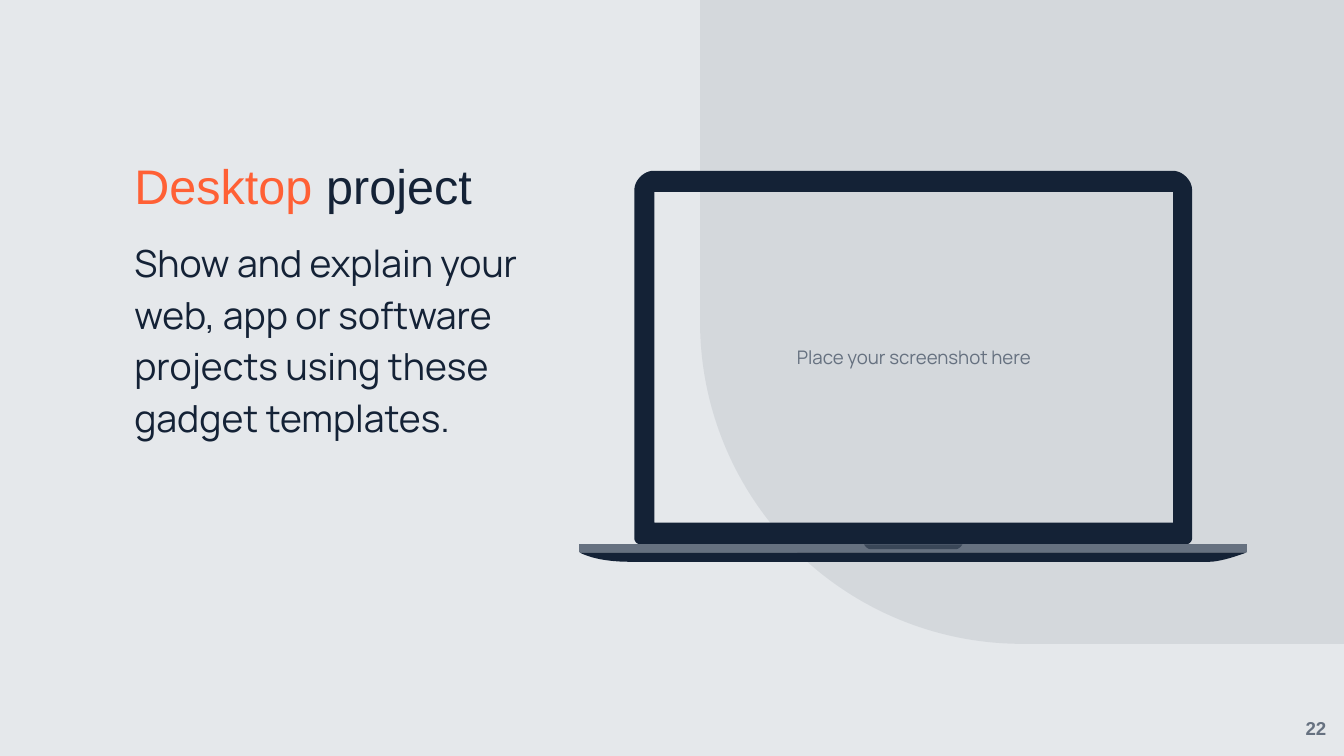
from lxml import etree
from pptx import Presentation
from pptx.dml.color import RGBColor
from pptx.enum import shapes, text
from pptx.oxml import ns
from pptx.util import Cm, Pt

PALE = RGBColor(0xE5, 0xE8, 0xEB)
NAVY = RGBColor(0x14, 0x22, 0x36)
GREY = RGBColor(0x66, 0x71, 0x80)
ORANGE = RGBColor(0xFF, 0x60, 0x35)
CURVE_STEPS = 12


def paint(shape, color, opacity=100):
    """Flat fill without outline or shadow; opacity in percent."""
    shape.shadow.inherit = False
    shape.line.fill.background()
    shape.fill.solid()
    shape.fill.fore_color.rgb = color
    if opacity < 100:
        srgb = shape.fill._xPr.find(".//" + ns.qn("a:srgbClr"))
        etree.SubElement(srgb, ns.qn("a:alpha"), val=str(opacity * 1000))


def add_corner_block(slide, left, top, size, color, opacity=100, rotation=0):
    """Square with one corner rounded by half its side."""
    block = slide.shapes.add_shape(
        shapes.MSO_SHAPE.ROUND_1_RECTANGLE, Cm(left), Cm(top), Cm(size), Cm(size))
    block.adjustments[0] = 0.5
    block.rotation = rotation
    paint(block, color, opacity)
    return block


def write(frame, runs, *, size, font, align=text.PP_ALIGN.LEFT,
          anchor=text.MSO_ANCHOR.TOP, bold=False, spacing=1.0, before=0):
    """Write one paragraph of (words, color) runs."""
    frame.word_wrap = True
    frame.auto_size = text.MSO_AUTO_SIZE.NONE
    frame.vertical_anchor = anchor
    frame.margin_left = frame.margin_right = frame.margin_top = frame.margin_bottom = 0
    paragraph = frame.paragraphs[0]
    paragraph.alignment = align
    paragraph.line_spacing = spacing
    paragraph.space_before = Pt(before)
    for words, color in runs:
        run = paragraph.add_run()
        run.text = words
        run.font.size, run.font.name, run.font.bold = Pt(size), font, bold
        run.font.color.rgb = color


def add_text(slide, left, top, width, height, runs, **style):
    box = slide.shapes.add_textbox(Cm(left), Cm(top), Cm(width), Cm(height))
    write(box.text_frame, runs, **style)


def flatten(steps):
    """Turn steps of one point (line) or three points (cubic curve) into points."""
    points = []
    for step in steps:
        if len(step) == 1:
            points.append(step[0])
            continue
        controls = [points[-1], *step]
        for i in range(1, CURVE_STEPS + 1):
            t = i / CURVE_STEPS
            weights = ((1 - t) ** 3, 3 * t * (1 - t) ** 2, 3 * t * t * (1 - t), t ** 3)
            points.append(tuple(sum(w * p[axis] for w, p in zip(weights, controls))
                                for axis in (0, 1)))
    return [(Cm(x), Cm(y)) for x, y in points]


def add_outline(slide, contours, color, opacity=100):
    builder = None
    for contour in contours:
        start, *rest = flatten(contour)
        if builder is None:
            builder = slide.shapes.build_freeform(*start)
        else:
            builder.move_to(*start)
        builder.add_line_segments(rest, close=True)
    paint(builder.convert_to_shape(), color, opacity)


def add_laptop(slide):
    left, right, top, hinge = 11.99, 22.53, 3.23, 10.29
    big, small = 0.36, 0.11  # upper and lower corner radii
    screen_left, screen_right, screen_top, screen_bottom = 12.37, 22.17, 3.63, 9.88

    # Lid with the screen cut out
    lid = [
        [(right - big, top)],
        [(left + big, top)],
        [(left + big / 2, top), (left, top + big / 2), (left, top + big)],
        [(left, hinge - small)],
        [(left, hinge - small / 2), (left + small / 2, hinge), (left + small, hinge)],
        [(right - small, hinge)],
        [(right - small / 2, hinge), (right, hinge - small / 2), (right, hinge - small)],
        [(right, top + big)],
        [(right, top + big / 2), (right - big / 2, top), (right - big, top)],
    ]
    screen = [[(screen_right, screen_bottom)], [(screen_left, screen_bottom)],
              [(screen_left, screen_top)], [(screen_right, screen_top)]]
    add_outline(slide, [lid, screen], NAVY)

    # Underside, deck and opening notch
    base_left, base_right, deck_bottom, foot = 10.95, 23.57, 10.44, 10.62
    add_outline(slide, [[
        [(base_left, deck_bottom)],
        [(base_left, deck_bottom), (11.23, foot), (11.89, foot)],
        [(22.86, foot)],
        [(23.11, foot), (base_right, deck_bottom), (base_right, deck_bottom)],
    ]], NAVY)
    add_outline(slide, [[[(base_left, deck_bottom)], [(base_right, deck_bottom)],
                         [(base_right, hinge)], [(base_left, hinge)]]], GREY)
    notch_left, notch_right, notch_bottom = 16.33, 18.19, 10.38
    add_outline(slide, [[
        [(notch_left, hinge)],
        [(notch_left, hinge), (notch_left + 0.05, notch_bottom),
         (notch_left + 0.12, notch_bottom)],
        [(notch_right - 0.12, notch_bottom)],
        [(notch_right - 0.05, notch_bottom), (notch_right, hinge), (notch_right, hinge)],
    ]], NAVY, opacity=53)


def main():
    prs = Presentation()
    prs.slide_width, prs.slide_height = Cm(25.4), Cm(14.29)
    slide = prs.slides.add_slide(prs.slide_layouts[5])
    slide.background.fill.solid()
    slide.background.fill.fore_color.rgb = PALE

    # Backdrop and page number tile
    add_corner_block(slide, 13.23, 0, 12.17, NAVY, opacity=8, rotation=180)
    tile = add_corner_block(slide, 24.34, 13.23, 1.06, PALE)
    tile._element.spPr.find(ns.qn("a:xfrm")).set("flipH", "1")

    centred = {"align": text.PP_ALIGN.CENTER, "anchor": text.MSO_ANCHOR.MIDDLE, "size": 10}
    add_text(slide, 12.37, 3.63, 9.8, 6.25, [("Place your screenshot here", GREY)],
             font="Manrope", **centred)
    add_text(slide, 24.34, 13.23, 1.06, 1.06, [("22", GREY)],
             font="Arial", bold=True, **centred)

    add_laptop(slide)

    # Message
    add_text(slide, 2.54, 4.42, 7.44, 7.72,
             [("Show and explain your web, app or software projects using these "
               "gadget templates.", NAVY)],
             size=20, font="Manrope", spacing=1.15, before=6)
    title = slide.shapes.title
    title.left, title.top, title.width, title.height = Cm(2.54), Cm(2.31), Cm(7.44), Cm(1.75)
    write(title.text_frame, [("Desktop", ORANGE), (" project", NAVY)],
          size=26, font="Arial", anchor=text.MSO_ANCHOR.BOTTOM, spacing=0.9)

    prs.save("out.pptx")


if __name__ == "__main__":
    main()
